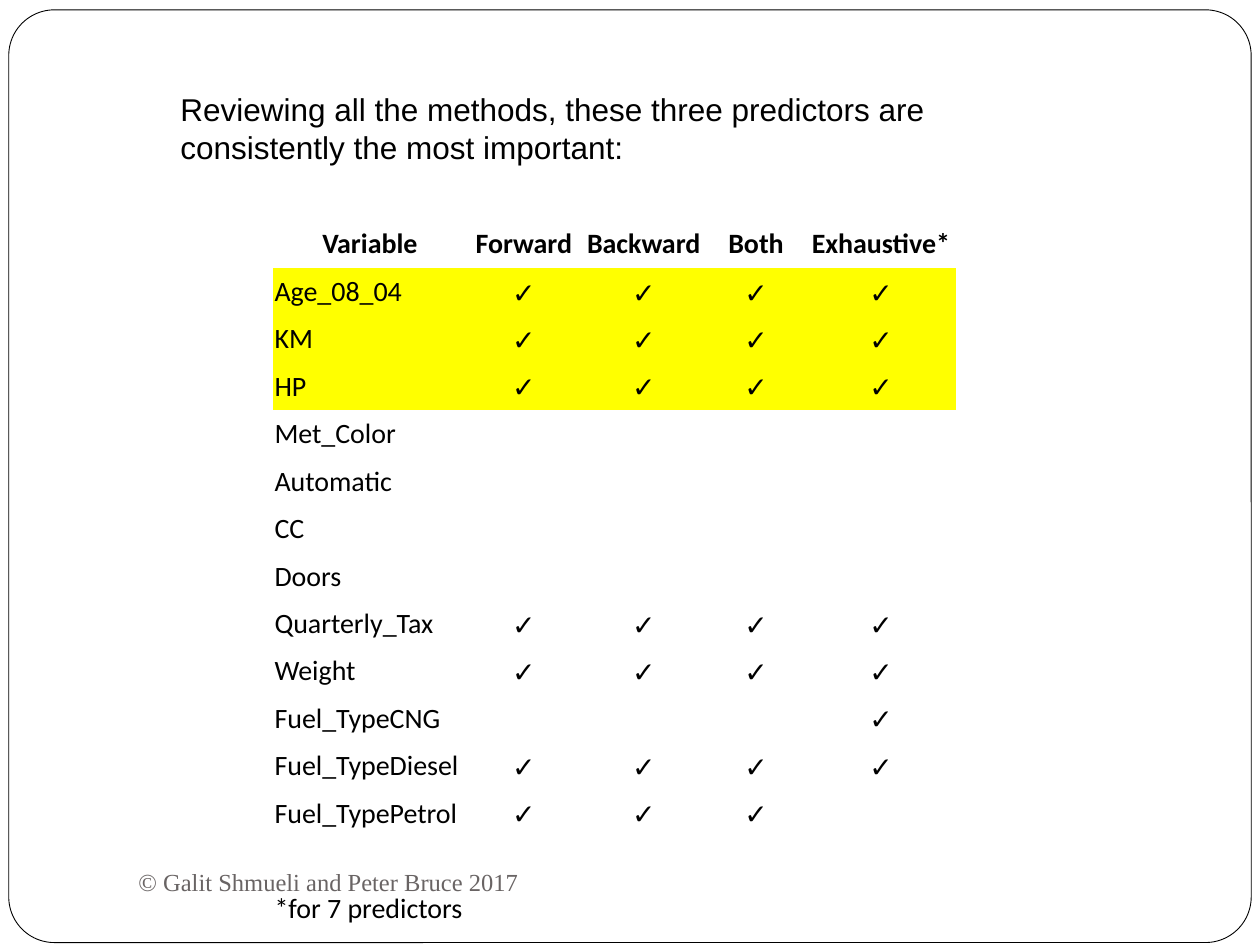
from pptx import Presentation
from pptx.dml.color import RGBColor
from pptx.enum.shapes import MSO_SHAPE
from pptx.enum.text import MSO_ANCHOR, PP_ALIGN
from pptx.util import Pt

CHECK = "✓"
NO_STYLE_NO_GRID = "{2D5ABB26-0587-4C30-8999-92F81FD0307C}"
HEADERS = ["Variable", "Forward", "Backward", "Both", "Exhaustive*"]
SELECTIONS = [
    ("Age_08_04", (1, 2, 3, 4)),
    ("KM", (1, 2, 3, 4)),
    ("HP", (1, 2, 3, 4)),
    ("Met_Color", ()),
    ("Automatic", ()),
    ("CC", ()),
    ("Doors", ()),
    ("Quarterly_Tax", (1, 2, 3, 4)),
    ("Weight", (1, 2, 3, 4)),
    ("Fuel_TypeCNG", (4,)),
    ("Fuel_TypeDiesel", (1, 2, 3, 4)),
    ("Fuel_TypePetrol", (1, 2, 3)),
    ("", ()),
    ("*for 7 predictors", ()),
]
COLUMN_WIDTHS = [110.4, 65.6, 71.4, 57, 85.8]
ROW_HEIGHT = 27.1
TOP_PREDICTORS = range(1, 4)
CELL_FORMAT = {"margin_left": Pt(0.72), "margin_right": Pt(0.72),
               "margin_top": Pt(3.6), "margin_bottom": Pt(3.6)}


def color(hex_value):
    """Return the RGB colour for a hex string."""
    return RGBColor.from_string(hex_value)


def set_attributes(target, values):
    """Set every attribute in a dict of format values."""
    for name, value in values.items():
        setattr(target, name, value)


def write_text(paragraph, text, size, font_name, hex_value="000000", bold=False):
    """Add one formatted run to a paragraph."""
    run = paragraph.add_run()
    run.text = text
    set_attributes(run.font, {"size": Pt(size), "name": font_name, "bold": bold})
    run.font.color.rgb = color(hex_value)


def add_frame(slide):
    """Draw the rounded border around the slide."""
    shape = slide.shapes.add_shape(
        MSO_SHAPE.ROUNDED_RECTANGLE, Pt(5), Pt(5.6), Pt(710), Pt(533))
    shape.adjustments[0] = 0.049
    shape.shadow.inherit = False
    shape.fill.solid()
    shape.fill.fore_color.rgb = color("FFFFFF")
    shape.line.color.rgb = color("000000")
    shape.line.width = Pt(0.5)


def add_text(slide, box, text, size, font_name, hex_value, anchor):
    """Add a wrapping text box with one paragraph."""
    shape = slide.shapes.add_textbox(*map(Pt, box))
    set_attributes(shape.text_frame, {"word_wrap": True, "vertical_anchor": anchor})
    write_text(shape.text_frame.paragraphs[0], text, size, font_name, hex_value)


def fill_cell(cell, text, row, column):
    """Format one table cell according to its row and column."""
    is_header = row == 0
    set_attributes(cell, CELL_FORMAT)
    cell.vertical_anchor = MSO_ANCHOR.MIDDLE if is_header else MSO_ANCHOR.BOTTOM
    if row in TOP_PREDICTORS:
        cell.fill.solid()
        cell.fill.fore_color.rgb = color("FFFF00")
    else:
        cell.fill.background()
    paragraph = cell.text_frame.paragraphs[0]
    centered = is_header or column > 0
    paragraph.alignment = PP_ALIGN.CENTER if centered else PP_ALIGN.LEFT
    if text:
        font_name = "Arial" if text == CHECK else "Calibri"
        write_text(paragraph, text, 16, font_name, bold=is_header)
    else:
        paragraph._p.get_or_add_endParaRPr().set("sz", "1600")


def add_selection_table(slide):
    """Add the table of predictors chosen by each method."""
    rows = [HEADERS] + [
        [name] + [CHECK if column in chosen else "" for column in range(1, len(HEADERS))]
        for name, chosen in SELECTIONS]
    frame = slide.shapes.add_table(
        len(rows), len(HEADERS), Pt(156.2), Pt(126),
        Pt(sum(COLUMN_WIDTHS)), Pt(ROW_HEIGHT * len(rows)))
    table = frame.table
    table._tbl.tblPr.find("{*}tableStyleId").text = NO_STYLE_NO_GRID
    set_attributes(table, {"first_row": False, "horz_banding": False})
    for column, width in zip(table.columns, COLUMN_WIDTHS):
        column.width = Pt(width)
    for row, texts in enumerate(rows):
        table.rows[row].height = Pt(ROW_HEIGHT)
        for column, text in enumerate(texts):
            fill_cell(table.cell(row, column), text, row, column)
    last = len(rows) - 1
    table.cell(last, 0).merge(table.cell(last, 1))


def main():
    """Build and save the slide."""
    presentation = Presentation()
    set_attributes(presentation, {"slide_width": Pt(720), "slide_height": Pt(540)})
    slide = presentation.slides.add_slide(presentation.slide_layouts[6])
    add_frame(slide)
    add_selection_table(slide)
    add_text(slide, (96, 48, 528, 50.4),
             "Reviewing all the methods, these three predictors are "
             "consistently the most important:",
             18, "Arial", "000000", MSO_ANCHOR.TOP)
    add_text(slide, (72, 486, 312, 36), "© Galit Shmueli and Peter Bruce 2017",
             14, "Times New Roman", "696464", MSO_ANCHOR.MIDDLE)
    presentation.save("out.pptx")


if __name__ == "__main__":
    main()
